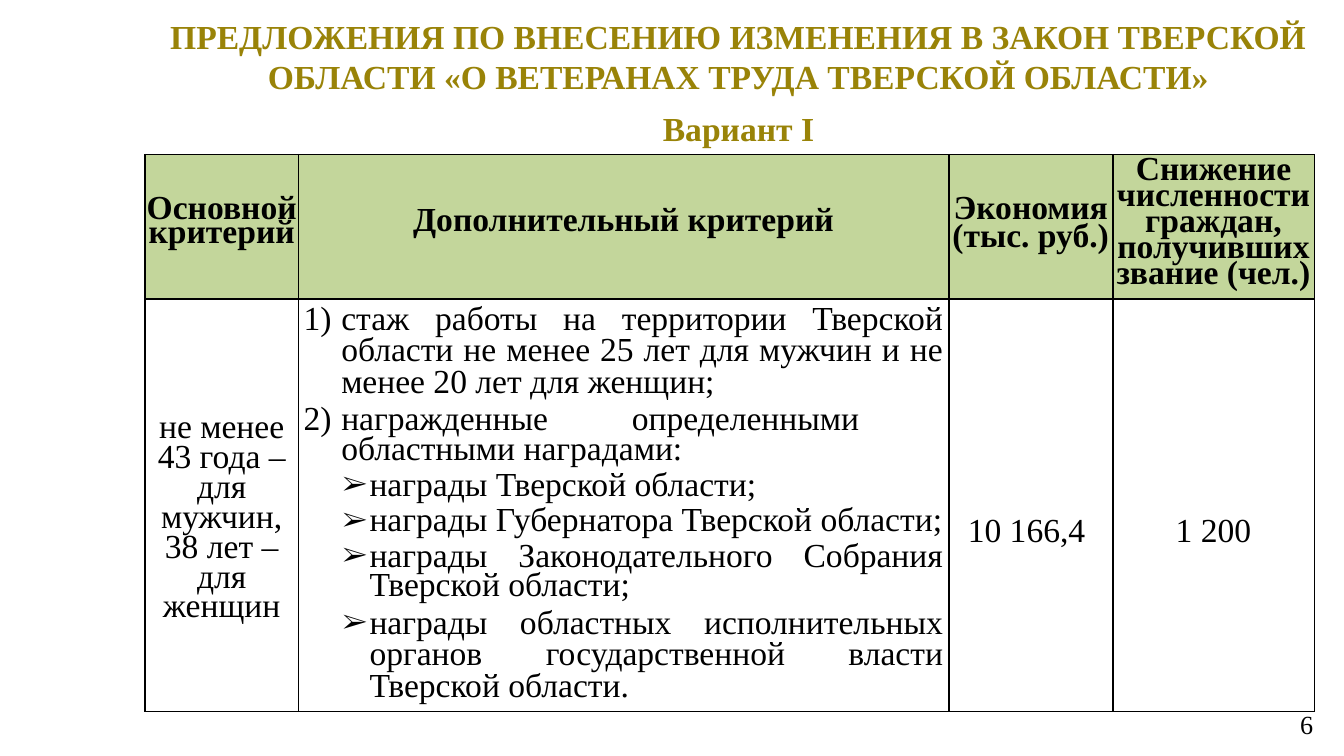
from pptx import Presentation
from pptx.dml.color import RGBColor
from pptx.enum.text import MSO_ANCHOR as Anchor, MSO_AUTO_SIZE as AutoSize, PP_ALIGN as Align
from pptx.oxml.xmlchemy import OxmlElement as Element
from pptx.util import Inches, Pt

FONT = "Times New Roman"
BLACK = RGBColor(0, 0, 0)
GOLD = RGBColor(0x99, 0x83, 0x08)
GREEN = RGBColor(0xC3, 0xD6, 0x9B)

TITLE = [
    "ПРЕДЛОЖЕНИЯ ПО ВНЕСЕНИЮ ИЗМЕНЕНИЯ В ЗАКОН ТВЕРСКОЙ ОБЛАСТИ "
    "«О ВЕТЕРАНАХ ТРУДА ТВЕРСКОЙ ОБЛАСТИ»",
    "Вариант I",
]
COLUMN_WIDTHS = [1.14, 4.84, 1.22, 1.5]
ROW_HEIGHTS = [1.07, 3.07]
HEADERS = [
    ("Основной критерий", 13),
    ("Дополнительный критерий", 13),
    ("Экономия (тыс. руб.)", 15),
    ("Снижение численности граждан, получивших звание (чел.)", 14),
]
VALUES = {
    0: ("не менее 43 года – для мужчин, 38 лет – для женщин", 0.28),
    2: ("10 166,4 ", 0.49),
    3: ("1 200", 0.49),
}
NUMBERED, ARROW = "number", "arrow"
CRITERIA = [
    (NUMBERED, "стаж работы на территории Тверской области не менее 25 лет "
               "для мужчин и не менее 20 лет для женщин; ", 17, 4),
    (NUMBERED, "награжденные определенными  областными наградами:", 16, 3),
    (ARROW, "награды Тверской области;", 16, 3),
    (ARROW, "награды Губернатора Тверской области;", 16, 3),
    (ARROW, "награды Законодательного Собрания Тверской области;", 16, 3),
    (ARROW, "награды областных исполнительных органов государственной власти "
            "Тверской области.", 17, 0),
]


def format_para(para, size=18, color=BLACK, bold=False, align=Align.CENTER, line=None, after=0):
    para.alignment = align
    para.space_after = Pt(after)
    if line:
        para.line_spacing = Pt(line)
    for span in para.runs:
        span.font.name = FONT
        span.font.size = Pt(size)
        span.font.bold = bold
        span.font.color.rgb = color


def add_child(parent, tag, **attributes):
    child = Element(tag)
    for name, value in attributes.items():
        child.set(name, str(value))
    parent.append(child)
    return child


def add_bullet(para, kind):
    indent, hanging = (0.28, 0.28) if kind == NUMBERED else (0.49, 0.2)
    properties = para._p.get_or_add_pPr()
    properties.set("marL", str(Inches(indent)))
    properties.set("indent", str(-Inches(hanging)))
    if kind == NUMBERED:
        add_child(properties, "a:buAutoNum", type="arabicParenR")
    else:
        add_child(properties, "a:buSzPct", val=80000)
        add_child(properties, "a:buFont", typeface=FONT)
        add_child(properties, "a:buChar", char="➢")


def add_borders(cell):
    properties = cell._tc.get_or_add_tcPr()
    for position, side in enumerate("LRTB"):
        border = Element(f"a:ln{side}")
        border.set("w", str(Pt(1)))
        fill = add_child(border, "a:solidFill")
        add_child(fill, "a:srgbClr", val=BLACK)
        properties.insert(position, border)


def format_cell(cell, fill=None, side=0, top=0.05):
    cell.vertical_anchor = Anchor.MIDDLE
    cell.margin_left = cell.margin_right = Inches(side)
    cell.margin_top = Inches(top)
    cell.margin_bottom = Inches(0.05)
    if fill is None:
        cell.fill.background()
    else:
        cell.fill.solid()
        cell.fill.fore_color.rgb = fill
    add_borders(cell)


def fill_criteria(cell):
    frame = cell.text_frame
    frame.text = "\n".join(text for _, text, _, _ in CRITERIA)
    for para, (kind, _, line, after) in zip(frame.paragraphs, CRITERIA):
        format_para(para, align=Align.JUSTIFY, line=line, after=after)
        add_bullet(para, kind)
    format_cell(cell, side=0.04)


def place_title(page, left, top, width, height):
    title = page.shapes.title
    title.left, title.top = Inches(left), Inches(top)
    title.width, title.height = Inches(width), Inches(height)
    frame = title.text_frame
    frame.text = "\n".join(TITLE)
    frame.word_wrap = True
    frame.auto_size = AutoSize.NONE
    frame.vertical_anchor = Anchor.MIDDLE
    for para, after in zip(frame.paragraphs, (6, 0)):
        format_para(para, color=GOLD, bold=True, after=after)


def place_table(page, left, top):
    table = page.shapes.add_table(
        len(ROW_HEIGHTS), len(COLUMN_WIDTHS), Inches(left), Inches(top),
        Inches(sum(COLUMN_WIDTHS)), Inches(sum(ROW_HEIGHTS))).table
    for column, width in zip(table.columns, COLUMN_WIDTHS):
        column.width = Inches(width)
    for row, height in zip(table.rows, ROW_HEIGHTS):
        row.height = Inches(height)
    for index, (text, line) in enumerate(HEADERS):
        cell = table.cell(0, index)
        cell.text_frame.text = text
        format_para(cell.text_frame.paragraphs[0], bold=True, line=line)
        format_cell(cell, fill=GREEN)
    for index, (text, margin) in VALUES.items():
        cell = table.cell(1, index)
        cell.text_frame.text = text
        format_para(cell.text_frame.paragraphs[0], line=16)
        format_cell(cell, top=margin)
    fill_criteria(table.cell(1, 1))


def place_page_number(page, left, top, width, height):
    box = page.shapes.add_textbox(Inches(left), Inches(top), Inches(width), Inches(height))
    frame = box.text_frame
    frame.text = "6"
    frame.word_wrap = True
    frame.vertical_anchor = Anchor.MIDDLE
    format_para(frame.paragraphs[0], size=14, align=Align.RIGHT)


def main():
    deck = Presentation()
    deck.slide_width = Inches(10)
    deck.slide_height = deck.slide_width * 9 // 16
    page = deck.slides.add_slide(deck.slide_layouts[5])
    place_page_number(page, 7.62, 5.24, 2.25, 0.3)
    place_table(page, 1.08, 1.15)
    place_title(page, 1.14, 0.21, 8.71, 0.8)
    deck.save("out.pptx")


if __name__ == "__main__":
    main()
